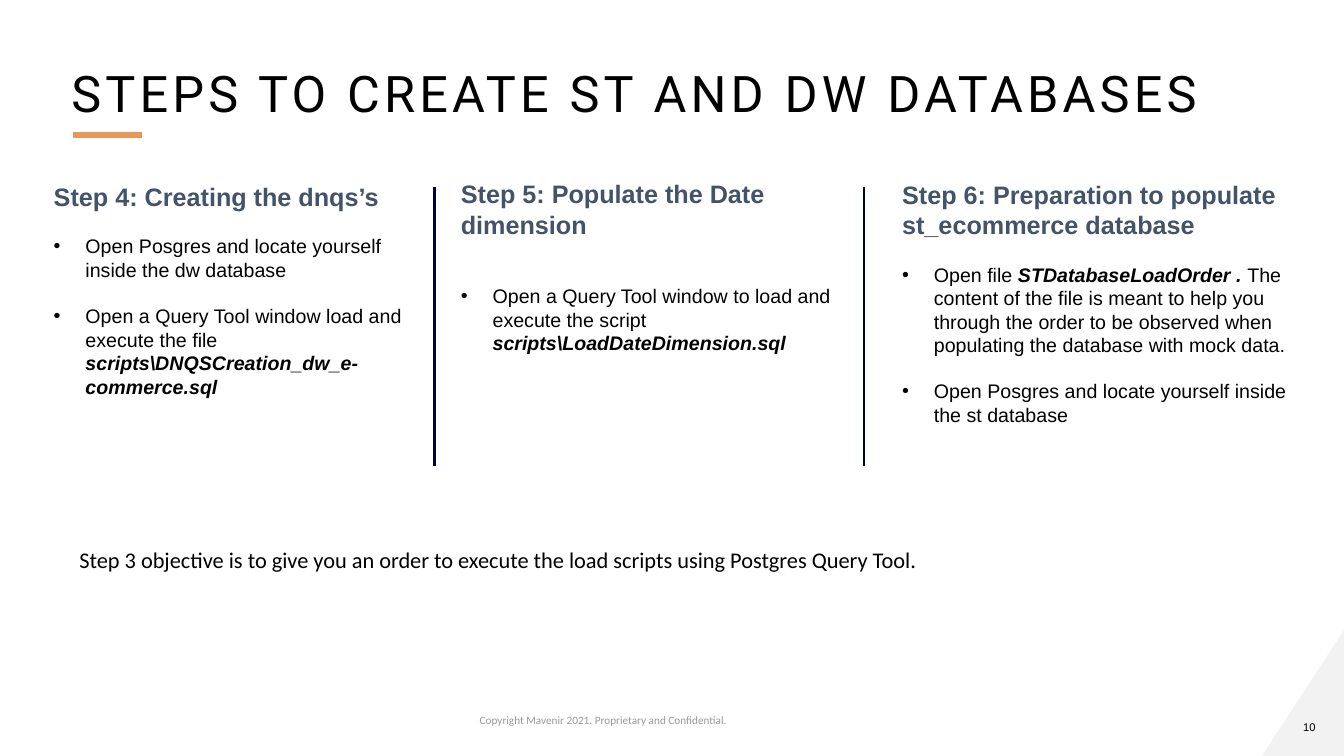
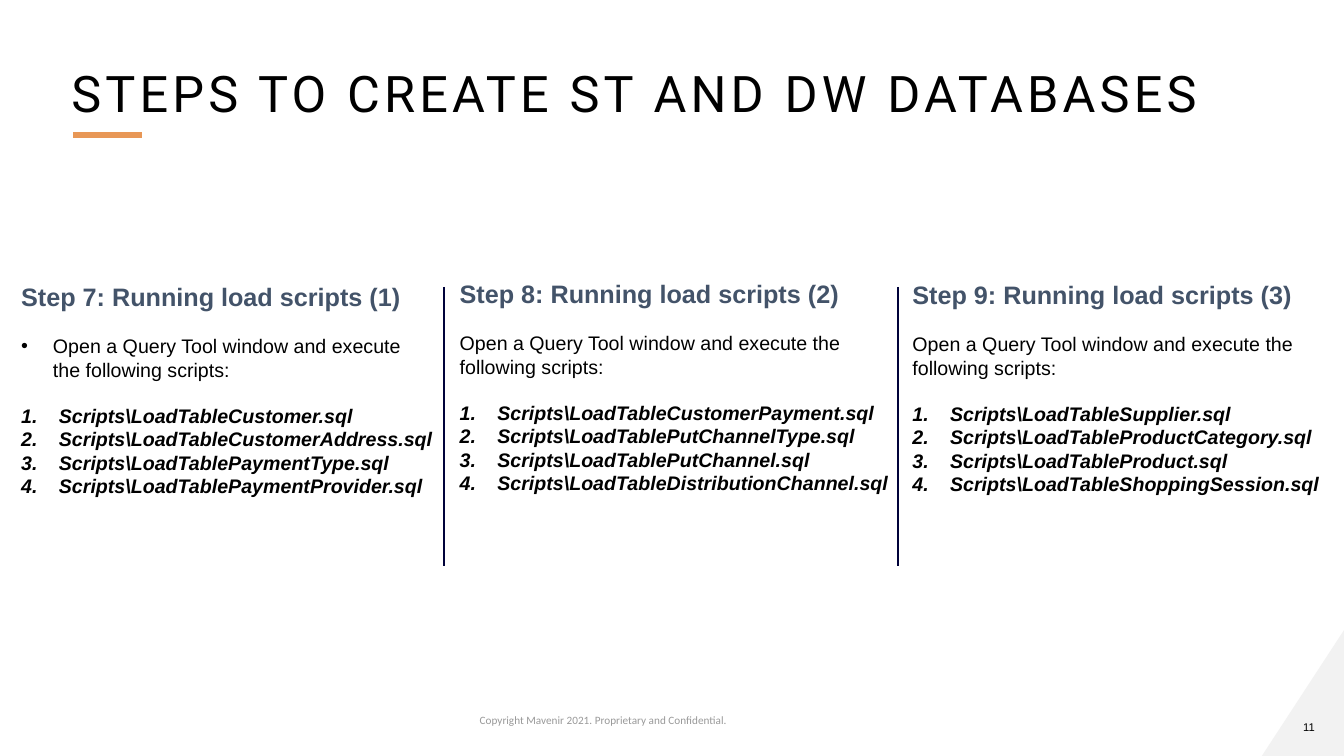
from lxml import etree
from pptx import Presentation
from pptx.dml.color import RGBColor
from pptx.enum.shapes import MSO_CONNECTOR as Connector, MSO_SHAPE as Shape
from pptx.enum.text import MSO_ANCHOR as Anchor, PP_ALIGN as Align
from pptx.oxml.ns import qn
from pptx.util import Cm, Pt

COLORS = {
    "text": "000000",
    "heading": "435369",
    "accent": "E89756",
    "divider": "00023A",
    "corner": "F2F2F2",
    "footer": "999999",
}
SLIDE_WIDTH, SLIDE_HEIGHT = 33.87, 19.05
TITLE = "STEPS TO CREATE ST AND DW DATABASES"
COPYRIGHT = "Copyright Mavenir 2021. Proprietary and Confidential."
COLUMN_HEIGHT = 8.03
COLUMN_OFFSETS = (0.07, 0, 0.02)
DIVIDER_OFFSET, DIVIDER_HEIGHT = 0.5, 7.02
BLANK_LINE = 16.1
BULLET = ("buChar", "char", "•", 0.8)
NUMBER = ("buAutoNum", "type", "arabicPeriod", 0.95)


def color(name):
    return RGBColor.from_string(COLORS[name])


def add_run(para, text, size, font="Arial", fill="text", bold=False, italic=False):
    span = para.add_run()
    span.text = text
    span.font.size = Pt(size)
    span.font.name = font
    span.font.color.rgb = color(fill)
    span.font.bold = bold
    span.font.italic = italic
    return span


def add_label(page, place, text, size, font, fill="text", anchor=Anchor.TOP):
    """Add a one-paragraph text box at place, given as left, top, width, height."""
    box = page.shapes.add_textbox(*map(Cm, place))
    frame = box.text_frame
    frame.word_wrap = True
    frame.vertical_anchor = anchor
    add_run(frame.paragraphs[0], text, size, font, fill)
    return frame


def add_line(page, start, end, fill, width):
    line = page.shapes.add_connector(Connector.STRAIGHT, *map(Cm, start + end))
    line.line.color.rgb = color(fill)
    line.line.width = Pt(width)
    etree.SubElement(line._element.spPr, qn("a:effectLst"))


def add_marker(para, marker):
    """Give a paragraph a hanging bullet or automatic number."""
    tag, attribute, value, indent = marker
    properties = para._p.get_or_add_pPr()
    properties.set("marL", str(Cm(indent)))
    properties.set("indent", str(-Cm(indent)))
    etree.SubElement(properties, qn("a:buFont")).set("typeface", "Arial")
    etree.SubElement(properties, qn("a:" + tag)).set(attribute, value)


def add_title(page):
    frame = add_label(page, (1.55, 0.56, 31.47, 2.54), TITLE, 36, "Roboto",
                      anchor=Anchor.BOTTOM)
    frame.margin_top = frame.margin_bottom = 0
    para = frame.paragraphs[0]
    para.line_spacing = 0.9
    para.runs[0]._r.get_or_add_rPr().set("spc", "300")
    add_line(page, (1.85, 3.4), (3.58, 3.4), "accent", 4)


def add_footer(page, number):
    builder = page.shapes.build_freeform(Cm(SLIDE_WIDTH), Cm(SLIDE_HEIGHT))
    builder.add_line_segments([
        (Cm(31.8), Cm(SLIDE_HEIGHT)),
        (Cm(SLIDE_WIDTH), Cm(15.88)),
    ])
    corner = builder.convert_to_shape()
    corner.shadow.inherit = False
    corner.fill.solid()
    corner.fill.fore_color.rgb = color("corner")
    corner.line.fill.background()
    add_label(page, (32.59, 17.91, 1.27, 0.71), str(number), 8, "Arial",
              anchor=Anchor.BOTTOM)
    add_label(page, (11.84, 17.86, 10.72, 1.02), COPYRIGHT, 8, "Calibri", "footer")


def add_step(page, left, top, width, heading, items):
    """Add a step column; each item is (marker, blank lines before, runs)."""
    box = page.shapes.add_shape(Shape.ROUNDED_RECTANGLE, Cm(left), Cm(top),
                                Cm(width), Cm(COLUMN_HEIGHT))
    box.adjustments[0] = 0.1
    box.shadow.inherit = False
    box.fill.background()
    box.line.fill.background()
    frame = box.text_frame
    frame.word_wrap = True
    frame.vertical_anchor = Anchor.TOP
    frame.margin_left = frame.margin_right = Cm(0.05)
    frame.margin_top = frame.margin_bottom = Cm(0.05)
    para = frame.paragraphs[0]
    para.alignment = Align.LEFT
    add_run(para, heading, 18, fill="heading", bold=True)
    for marker, blank_lines, runs in items:
        para = frame.add_paragraph()
        para.alignment = Align.LEFT
        if marker:
            add_marker(para, marker)
        para.space_before = Pt(blank_lines * BLANK_LINE)
        for text, strong in runs:
            add_run(para, text, 14, bold=strong, italic=strong)


def script_items(marker, names):
    intro = "Open a Query Tool window and execute the following scripts:"
    items = [(marker, 1, [(intro, False)])]
    for index, name in enumerate(names):
        run = (f"Scripts\\LoadTable{name}.sql", True)
        items.append((NUMBER, 1 if index == 0 else 0, [run]))
    return items


def add_steps_slide(deck, number, top, columns, dividers, note=None):
    """Build a slide of three steps; columns are (left, width, heading, items)."""
    page = deck.slides.add_slide(deck.slide_layouts[6])
    add_footer(page, number)
    add_title(page)
    for (left, width, heading, items), offset in zip(columns, COLUMN_OFFSETS):
        add_step(page, left, top + offset, width, heading, items)
    start = top + DIVIDER_OFFSET
    for left in dividers:
        add_line(page, (left, start), (left, start + DIVIDER_HEIGHT), "divider", 1.5)
    if note:
        add_label(page, (1.75, 13.64, 30.38, 0.94), note, 16, "Calibri")


PREPARATION_STEPS = [
    (1.07, 9.6, "Step 4: Creating the dnqs’s", [
        (BULLET, 1, [("Open Posgres and locate yourself inside the dw database", False)]),
        (BULLET, 1, [("Open a Query Tool window load and execute the file ", False),
                     ("scripts\\DNQSCreation_dw_e-commerce.sql", True)]),
    ]),
    (11.33, 10.19, "Step 5: Populate the Date dimension", [
        (BULLET, 2, [("Open a Query Tool window to load and execute the script ", False),
                     ("scripts\\LoadDateDimension.sql", True)]),
    ]),
    (22.45, 10.36, "Step 6: Preparation to populate st_ecommerce database", [
        (BULLET, 1, [("Open file ", False),
                     ("STDatabaseLoadOrder . ", True),
                     ("The content of the file is meant to help you through the order "
                      "to be observed when populating the database with mock data.",
                      False)]),
        (BULLET, 1, [("Open Posgres and locate yourself inside the st database", False)]),
    ]),
]
LOAD_STEPS = [
    (0.25, 10.95, "Step 7: Running load scripts (1)", script_items(
        BULLET, ["Customer", "CustomerAddress", "PaymentType", "PaymentProvider"])),
    (11.3, 11.4, "Step 8: Running load scripts (2)", script_items(
        None, ["CustomerPayment", "PutChannelType", "PutChannel",
               "DistributionChannel"])),
    (22.71, 11.16, "Step 9: Running load scripts (3)", script_items(
        None, ["Supplier", "ProductCategory", "Product", "ShoppingSession"])),
]
OBJECTIVE = ("Step 3 objective is to give you an order to execute the load scripts "
             "using Postgres Query Tool.")


def main():
    deck = Presentation()
    deck.slide_width, deck.slide_height = Cm(SLIDE_WIDTH), Cm(SLIDE_HEIGHT)
    add_steps_slide(deck, 10, 4.22, PREPARATION_STEPS, (10.95, 21.77), OBJECTIVE)
    add_steps_slide(deck, 11, 6.73, LOAD_STEPS, (11.18, 22.63))
    deck.save("out.pptx")


if __name__ == "__main__":
    main()
